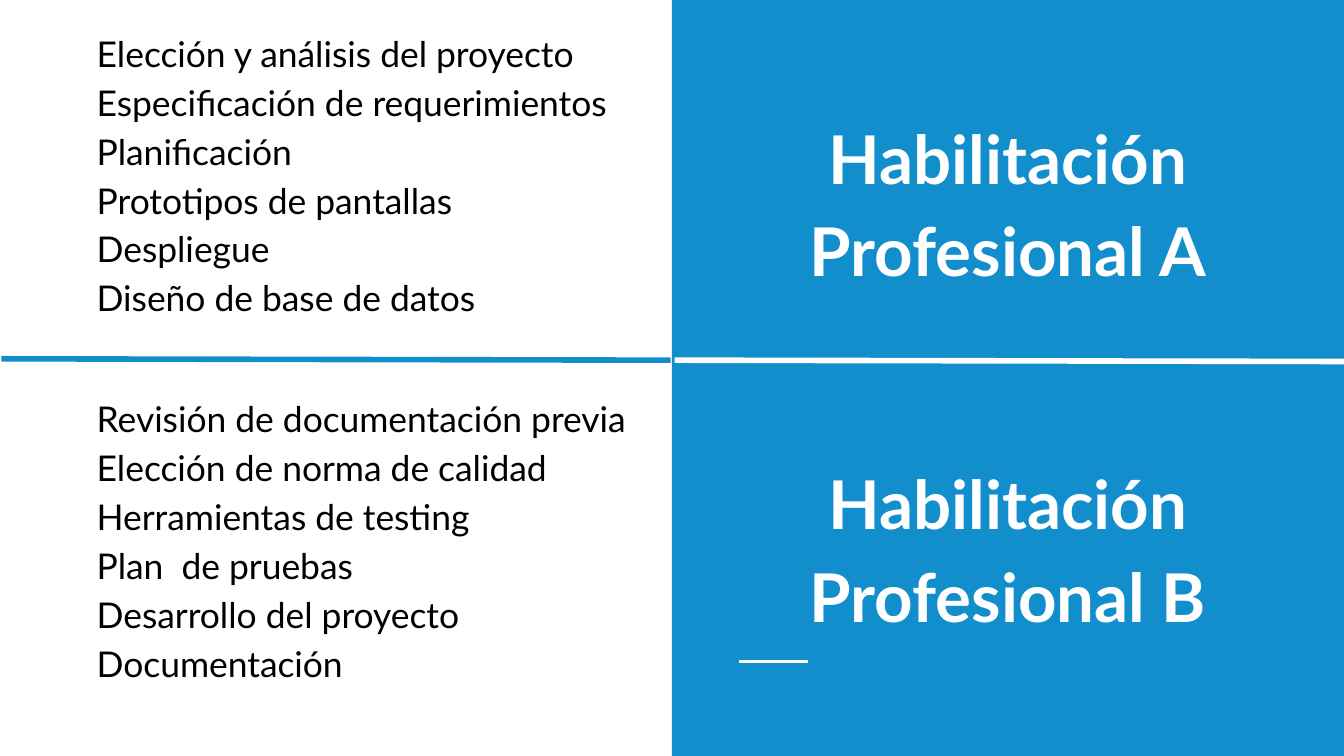
import pptx
import pptx.dml.color
import pptx.enum.shapes
import pptx.enum.text
import pptx.oxml.ns
import pptx.util
from lxml import etree

W = 10
H = W * 9 / 16
MID = W / 2
BLUE, WHITE, BLACK = "118ECB", "FFFFFF", "000000"
FONT = "Lato"
ALIGN = pptx.enum.text.PP_ALIGN
ANCHOR = pptx.enum.text.MSO_ANCHOR
PARTS = [
    ("Habilitación Profesional A", 0.23, 2.48, 0.09, [
        "Elección y análisis del proyecto",
        "Especificación de requerimientos",
        "Planificación",
        "Prototipos de pantallas",
        "Despliegue",
        "Diseño de base de datos",
    ]),
    ("Habilitación Profesional B", 2.81, 2.46, 2.81, [
        "Revisión de documentación previa",
        "Elección de norma de calidad",
        "Herramientas de testing",
        "Plan  de pruebas",
        "Desarrollo del proyecto",
        "Documentación",
    ]),
]


def rgb(color):
    """Turn a hex string into a colour."""
    return pptx.dml.color.RGBColor.from_string(color)


def inches(*values):
    """Turn numbers into lengths in inches."""
    return [pptx.util.Inches(v) for v in values]


def add_panel(s, x, y, w, h):
    """Draw the plain blue panel."""
    sp = s.shapes.add_shape(pptx.enum.shapes.MSO_SHAPE.RECTANGLE, *inches(x, y, w, h))
    sp.shadow.inherit = False
    sp.fill.solid()
    sp.fill.fore_color.rgb = rgb(BLUE)
    sp.line.fill.background()


def add_rule(s, x1, y1, x2, y2, color, width):
    """Draw a straight rule without a shadow."""
    cx = s.shapes.add_connector(
        pptx.enum.shapes.MSO_CONNECTOR.STRAIGHT, *inches(x1, y1, x2, y2))
    cx.line.color.rgb = rgb(color)
    cx.line.width = pptx.util.Pt(width)
    etree.SubElement(cx.element.spPr, pptx.oxml.ns.qn("a:effectLst"))


def write_text(sp, box, lines, size, color, align, anchor, bold=False, indent=0, after=0):
    """Place a text shape in its box and write one paragraph per line."""
    sp.left, sp.top, sp.width, sp.height = inches(*box)
    tf = sp.text_frame
    tf.word_wrap = True
    tf.auto_size = pptx.enum.text.MSO_AUTO_SIZE.NONE
    tf.vertical_anchor = anchor
    tf.margin_left = pptx.util.Inches(0.1 + indent)
    tf.margin_top = tf.margin_right = tf.margin_bottom = pptx.util.Inches(0.1)
    for i, line in enumerate(lines):
        p = tf.add_paragraph() if i else tf.paragraphs[0]
        p.alignment = align
        p.line_spacing = 1.15
        p.space_before = pptx.util.Pt(0)
        p.space_after = pptx.util.Pt(after)
        r = p.add_run()
        r.text = line
        r.font.name = FONT
        r.font.size = pptx.util.Pt(size)
        r.font.bold = bold
        r.font.color.rgb = rgb(color)


def add_heading(sp, box, text):
    """Write a large white heading in the panel."""
    write_text(sp, box, [text], 36, WHITE, ALIGN.CENTER, ANCHOR.MIDDLE, bold=True, after=16)


def add_topics(sp, box, topics):
    """Write the indented list of topics."""
    write_text(sp, box, topics, 19, BLACK, ALIGN.JUSTIFY, ANCHOR.TOP, indent=0.5)


def main():
    """Build the slide and save it."""
    prs = pptx.Presentation()
    prs.slide_width, prs.slide_height = inches(W, H)
    s = prs.slides.add_slide(prs.slide_layouts[5])
    title = s.shapes.title
    add_panel(s, MID, 0, MID, H)
    s.shapes.element.append(title.element)
    add_rule(s, 5.5, 4.92, 6.01, 4.92, WHITE, 1.5)
    add_rule(s, 0.01, 2.67, 4.99, 2.68, BLUE, 3)
    add_rule(s, 5.02, 2.68, W, 2.69, WHITE, 3)
    for i, (heading, top, height, list_top, topics) in enumerate(PARTS):
        box = (MID + 0.25, top, MID - 0.5, height)
        sp = s.shapes.add_textbox(*inches(*box)) if i else title
        add_heading(sp, box, heading)
        box = (0.12, list_top, 4.77, 2.62)
        add_topics(s.shapes.add_textbox(*inches(*box)), box, topics)
    prs.save("out.pptx")


if __name__ == "__main__":
    main()
